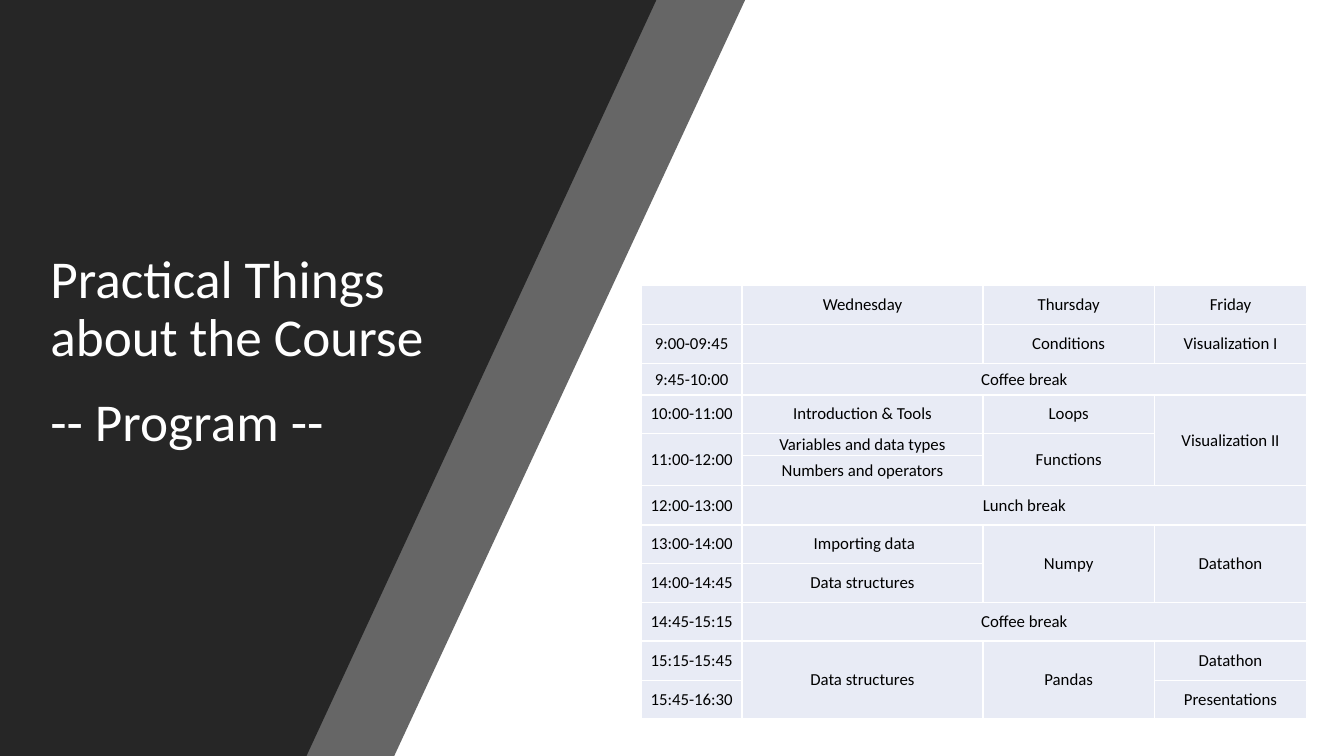
from pptx import Presentation
from pptx.dml.color import RGBColor as RGB
from pptx.enum.shapes import MSO_SHAPE as Shape
from pptx.enum.text import MSO_ANCHOR as Anchor, PP_ALIGN as Align
from pptx.oxml.ns import qn
from pptx.util import Pt
from lxml.etree import SubElement as Sub

PX = 9144  # 100 px to the inch
WIDE, HIGH = 1333, 750
WHITE, DARK, PALE, BLACK = "FFFFFF", "262626", "E8EBF5", "000000"
LEFT, UP = "<", "^"  # cell joins the one to its left or above

COLS = [100, 239, 170, 151]
ROWS = [39, 39, 31, 38, 22, 30] + [39, 38] * 3
PLAN = [
    ["", "Wednesday", "Thursday", "Friday"],
    ["9:00-09:45", "", "Conditions", "Visualization I"],
    ["9:45-10:00", "Coffee break", LEFT, LEFT],
    ["10:00-11:00", "Introduction & Tools", "Loops", "Visualization II"],
    ["11:00-12:00", "Variables and data types", "Functions", UP],
    [UP, "Numbers and operators", UP, UP],
    ["12:00-13:00", "Lunch break", LEFT, LEFT],
    ["13:00-14:00", " Importing data", "Numpy", "Datathon"],
    ["14:00-14:45", "Data structures", UP, UP],
    ["14:45-15:15", "Coffee break", LEFT, LEFT],
    ["15:15-15:45", "Data structures", "Pandas", "Datathon"],
    ["15:45-16:30", UP, UP, "Presentations"],
]


def tint(code):
    return RGB.from_string(code)


def inset(box, px):
    box.margin_left = box.margin_right = px * PX
    box.margin_top = box.margin_bottom = px * PX


class Deck:
    font = "Calibri"

    def __init__(self):
        self.file = Presentation()
        self.file.slide_width = WIDE * PX
        self.file.slide_height = HIGH * PX
        self.slide = self.file.slides.add_slide(self.file.slide_layouts[6])
        self.shapes = self.slide.shapes

    def ground(self, color):
        fill = self.slide.background.fill
        fill.solid()
        fill.fore_color.rgb = tint(color)

    def paint(self, shape, color, alpha=100):
        shape.shadow.inherit = False
        shape.fill.solid()
        shape.fill.fore_color.rgb = tint(color)
        shape.line.fill.background()
        if alpha < 100:
            code = shape.fill._xPr.find(".//" + qn("a:srgbClr"))
            Sub(code, qn("a:alpha"), val=str(alpha * 1000))

    def rect(self, x, y, w, h, color):
        box = self.shapes.add_shape(Shape.RECTANGLE, x * PX, y * PX, w * PX, h * PX)
        self.paint(box, color)

    def slant(self, top, base, color, alpha=100):
        path = self.shapes.build_freeform(0, 0, scale=PX)
        path.add_line_segments([(top, 0), (base, HIGH), (0, HIGH)], close=True)
        self.paint(path.convert_to_shape(), color, alpha)

    def run(self, para, text, size, color):
        run = para.add_run()
        run.text = text
        run.font.name = self.font
        run.font.size = Pt(size)
        run.font.color.rgb = tint(color)

    def title(self, x, y, w, h, lines, size, color):
        frame = self.shapes.add_textbox(x * PX, y * PX, w * PX, h * PX).text_frame
        frame.word_wrap = True
        frame.vertical_anchor = Anchor.BOTTOM
        inset(frame, 5)
        para = frame.paragraphs[0]
        para.line_spacing = 0.9
        for i, line in enumerate(lines):
            if i:
                para.add_line_break()
            if line:
                self.run(para, line, size, color)
        return para

    def edge(self, cell, color):
        props = cell._tc.get_or_add_tcPr()
        for side in ("lnL", "lnR", "lnT", "lnB"):
            line = Sub(props, qn("a:" + side), w=str(Pt(1)))
            Sub(Sub(line, qn("a:solidFill")), qn("a:srgbClr"), val=color)

    def cell(self, cell, text, size):
        self.edge(cell, WHITE)
        cell.fill.solid()
        cell.fill.fore_color.rgb = tint(PALE)
        cell.vertical_anchor = Anchor.MIDDLE
        inset(cell, 1)
        para = cell.text_frame.paragraphs[0]
        para.alignment = Align.CENTER
        if text in ("", LEFT, UP):
            Sub(para._p, qn("a:endParaRPr"), sz=str(size * 100))
        else:
            self.run(para, text, size, BLACK)

    def table(self, x, y, cols, rows, plan, size):
        frame = self.shapes.add_table(len(rows), len(cols), x * PX, y * PX,
                                      sum(cols) * PX, sum(rows) * PX)
        grid = frame.table
        grid.first_row = grid.horz_banding = False
        for col, w in zip(grid.columns, cols):
            col.width = w * PX
        for row, h in zip(grid.rows, rows):
            row.height = h * PX
        for r, line in enumerate(plan):
            for c, text in enumerate(line):
                self.cell(grid.cell(r, c), text, size)
        # Join each cell with the marks that follow it
        for r, line in enumerate(plan):
            for c, text in enumerate(line):
                if text in (LEFT, UP):
                    continue
                right, down = c, r
                while right + 1 < len(cols) and line[right + 1] == LEFT:
                    right += 1
                while down + 1 < len(rows) and plan[down + 1][c] == UP:
                    down += 1
                if (down, right) != (r, c):
                    grid.cell(r, c).merge(grid.cell(down, right))
                    inset(grid.cell(r, c), 5)


def main():
    deck = Deck()
    # Backdrop
    deck.ground(BLACK)
    deck.rect(0, 0, WIDE, HIGH, WHITE)
    deck.slant(739, 391, DARK, alpha=70)
    deck.slant(651, 304, DARK)
    # Title
    deck.title(45, 208, 424, 246,
               ["Practical Things about the Course", "", "-- Program --"], 38, WHITE)
    # Course plan
    deck.table(636, 283, COLS, ROWS, PLAN, 12)
    deck.file.save("out.pptx")


if __name__ == "__main__":
    main()
